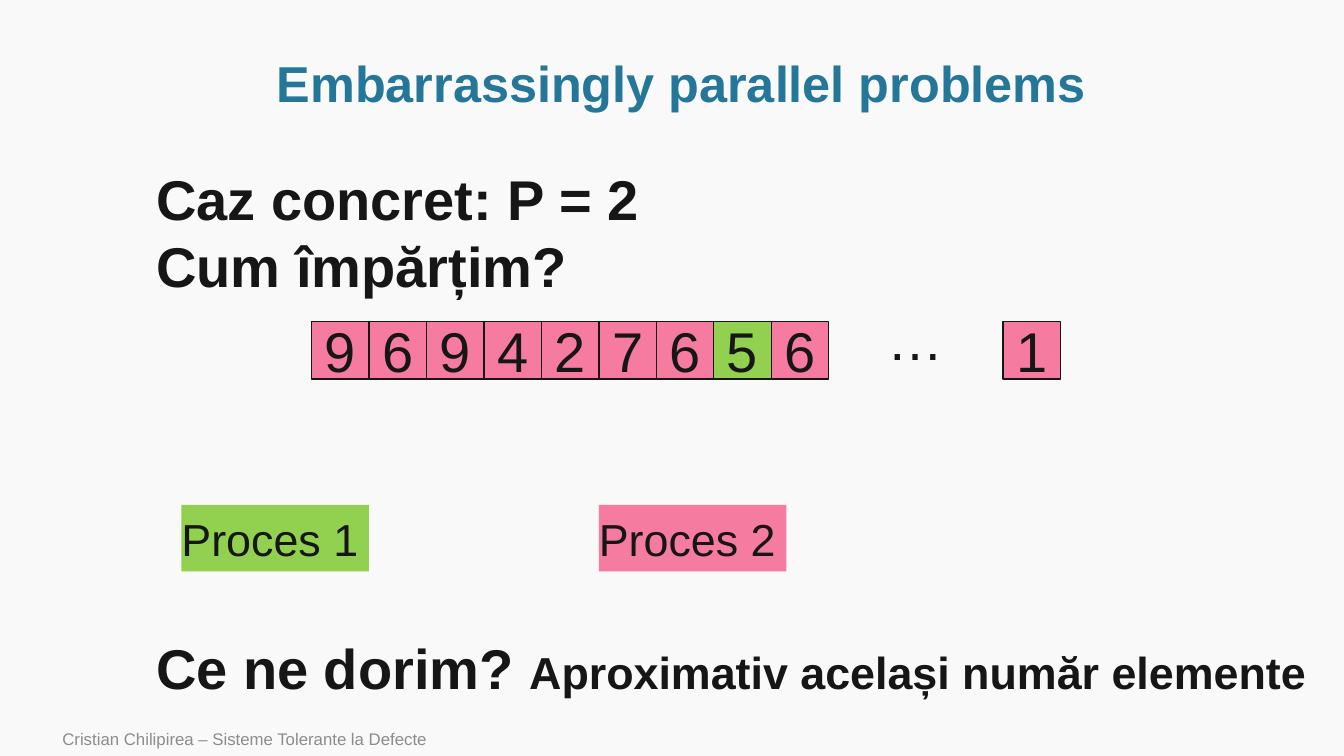
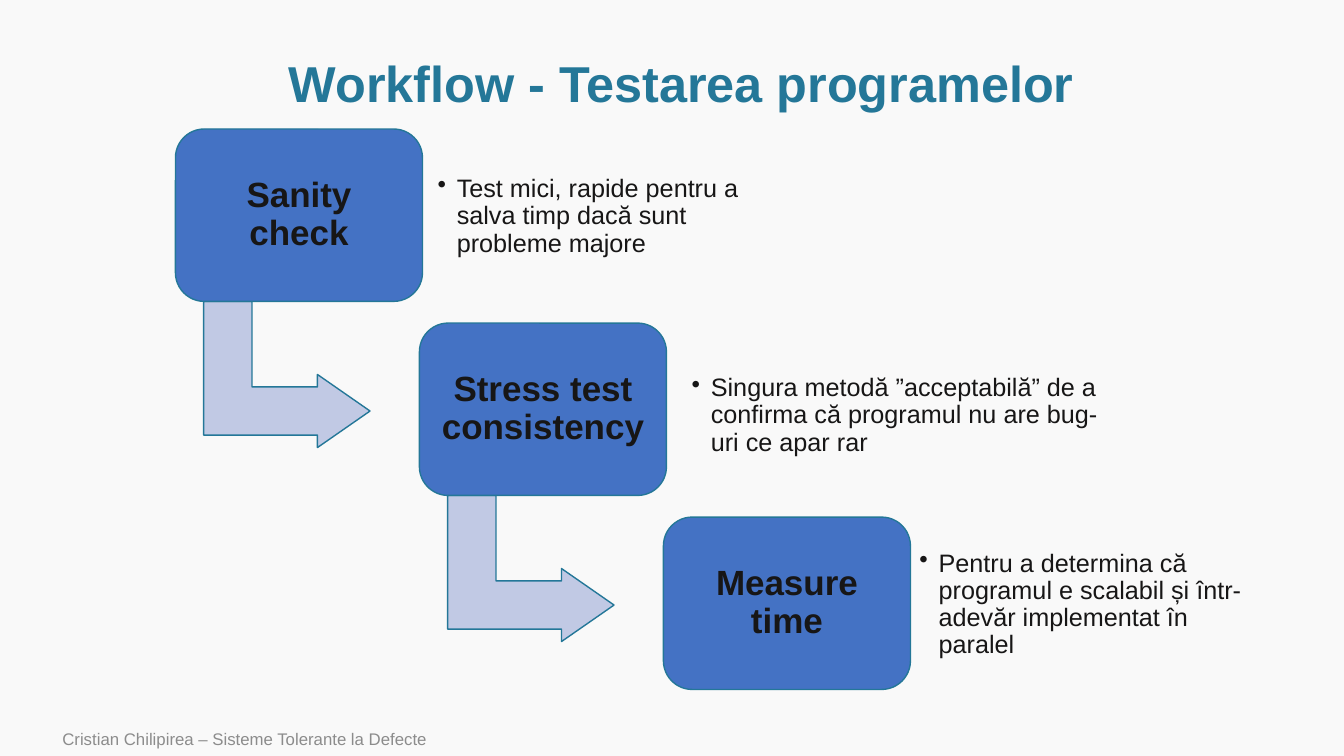
from lxml import etree
from pptx import Presentation
from pptx import util as u
from pptx.dml.color import RGBColor
from pptx.enum import shapes, text
from pptx.oxml.ns import qn

PX = 9144  # 100 px to the inch
FONT = "Arial"
COLORS = {
    "background": "F9F9F9",
    "ink": "171616",
    "accent": "247798",
    "footer": "8C8C8C",
    "process 1": "92D050",
    "process 2": "F57BA1",
    "step": "4472C4",
    "arrow": "C1C9E4",
}
FOOTER = "Cristian Chilipirea – Sisteme Tolerante la Defecte"
TITLE_BOX = (101, 51, 1150, 69)
FOOTER_BOX = (52, 716, 840, 34)

ALIGN = text.PP_ALIGN
ANCHOR = text.MSO_ANCHOR
SHAPE = shapes.MSO_SHAPE


def px(n):
    return u.Emu(round(n * PX))


def color(name):
    return RGBColor.from_string(COLORS[name])


def place(s, box):
    s.left, s.top, s.width, s.height = map(px, box)


def set_frame(s, anchor=ANCHOR.MIDDLE, insets=(10, 5), wrap=True):
    tf = s.text_frame
    tf.word_wrap = wrap
    tf.auto_size = text.MSO_AUTO_SIZE.NONE
    tf.vertical_anchor = anchor
    tf.margin_left = tf.margin_right = px(insets[0])
    tf.margin_top = tf.margin_bottom = px(insets[1])
    return tf


def set_bullet(p, char=None, indent=0):
    pPr = p._p.get_or_add_pPr()
    pPr.set("marL", str(px(indent)))
    pPr.set("indent", str(-px(indent)))
    if char:
        etree.SubElement(pPr, qn("a:buChar")).set("char", char)
    else:
        etree.SubElement(pPr, qn("a:buNone"))


def write(p, runs, align=ALIGN.LEFT, spacing=1.0, ink="ink", bold=False):
    """Fill a paragraph with (text, size) runs."""
    p.alignment = align
    p.line_spacing = spacing
    p.space_before = u.Pt(0)
    for words, size in runs:
        r = p.add_run()
        r.text = words
        r.font.name = FONT
        r.font.size = u.Pt(size)
        r.font.bold = bold
        r.font.color.rgb = color(ink)


def add_text(slide, box, runs, anchor=ANCHOR.MIDDLE, wrap=True, **style):
    s = slide.shapes.add_textbox(*map(px, box))
    tf = set_frame(s, anchor, wrap=wrap)
    write(tf.paragraphs[0], runs, **style)


def add_shape(slide, kind, box, fill, line=None):
    s = slide.shapes.add_shape(kind, *map(px, box))
    s.shadow.inherit = False
    s.fill.solid()
    s.fill.fore_color.rgb = color(fill)
    if line:
        s.line.color.rgb = color(line)
        s.line.width = u.Pt(1)
    else:
        s.line.fill.background()
    return s


def start_slide(prs, layout, title):
    """Add a slide with the shared title and footer."""
    slide = prs.slides.add_slide(prs.slide_layouts.get_by_name(layout))
    s = slide.shapes.title
    place(s, TITLE_BOX)
    write(set_frame(s).paragraphs[0], [(title, 36)], ALIGN.CENTER, 0.9,
          "accent", True)
    add_text(slide, FOOTER_BOX, [(FOOTER, 12)], ink="footer")
    return slide


def add_cells(slide, left, top, side, digits, owned=()):
    """Draw a row of array cells; owned ones belong to process 1."""
    for i, digit in enumerate(digits):
        fill = "process 1" if i in owned else "process 2"
        s = add_shape(slide, SHAPE.RECTANGLE,
                      (left + i * side, top, side, side), fill, "ink")
        write(set_frame(s).paragraphs[0], [(digit, 40)], ALIGN.CENTER)


def add_process_key(slide, left, top, number):
    s = add_shape(slide, SHAPE.RECTANGLE, (left, top, 186, 66),
                  f"process {number}")
    tf = set_frame(s, insets=(0, 5))
    write(tf.paragraphs[0], [(f"Proces {number}", 32)])


def parallel_slide(prs):
    slide = start_slide(prs, "Title and Content",
                        "Embarrassingly parallel problems")
    body = slide.placeholders[1]
    place(body, (145, 158, 1174, 150))
    tf = set_frame(body, ANCHOR.TOP)
    for i, line in enumerate(("Caz concret: P = 2", "Cum împărțim?")):
        p = tf.add_paragraph() if i else tf.paragraphs[0]
        set_bullet(p)
        write(p, [(line, 40)], bold=True)

    add_cells(slide, 309, 319, 57, "969427656", owned=(7,))
    add_text(slide, (870, 297, 76, 77), [("…", 40)], ANCHOR.TOP, wrap=False)
    add_cells(slide, 995, 319, 57, "1")
    for number, left in ((1, 180), (2, 594)):
        add_process_key(slide, left, 501, number)
    add_text(slide, (145, 624, 1174, 77),
             [("Ce ne dorim? ", 40),
              ("Aproximativ același număr elemente", 32)],
             ANCHOR.TOP, bold=True)


def add_step(slide, left, top, name, detail, detail_box, arrow):
    """Draw a step; detail_box is (dx, dy, width) from its corner."""
    if arrow:
        s = add_shape(slide, SHAPE.BENT_UP_ARROW,
                      (left + 38, top + 161, 145, 165), "arrow", "accent")
        s.rotation = 90
        for i, value in enumerate((0.33, 0.25, 0.36)):
            s.adjustments[i] = value
    s = add_shape(slide, SHAPE.ROUNDED_RECTANGLE, (left, top, 245, 171),
                  "step", "accent")
    tf = set_frame(s, insets=(11, 10))
    write(tf.paragraphs[0], [(name, 25)], ALIGN.CENTER, 0.9, bold=True)

    dx, dy, width = detail_box
    s = slide.shapes.add_textbox(*map(px, (left + dx, top + dy, width, 138)))
    p = set_frame(s, insets=(7, 7)).paragraphs[0]
    set_bullet(p, "•", 19)
    write(p, [(detail, 18)], spacing=0.9)


def workflow_slide(prs):
    slide = start_slide(prs, "Title Only", "Workflow - Testarea programelor")
    steps = (
        ("Sanity check",
         "Test mici, rapide pentru a salva timp dacă sunt probleme majore",
         (253, 18, 341)),
        ("Stress test consistency",
         "Singura metodă ”acceptabilă” de a confirma că programul nu are "
         "bug-uri ce apar rar",
         (263, 23, 425)),
        ("Measure time",
         "Pentru a determina că programul e scalabil și într-adevăr "
         "implementat în paralel",
         (247, 18, 336)),
    )
    for i, step in enumerate(steps):
        add_step(slide, 174 + 242 * i, 128 + 192.5 * i, *step,
                 arrow=i < len(steps) - 1)


def main():
    prs = Presentation()
    prs.slide_width, prs.slide_height = px(1333), px(750)
    fill = prs.slide_master.background.fill
    fill.solid()
    fill.fore_color.rgb = color("background")
    parallel_slide(prs)
    workflow_slide(prs)
    prs.save("out.pptx")


if __name__ == "__main__":
    main()
